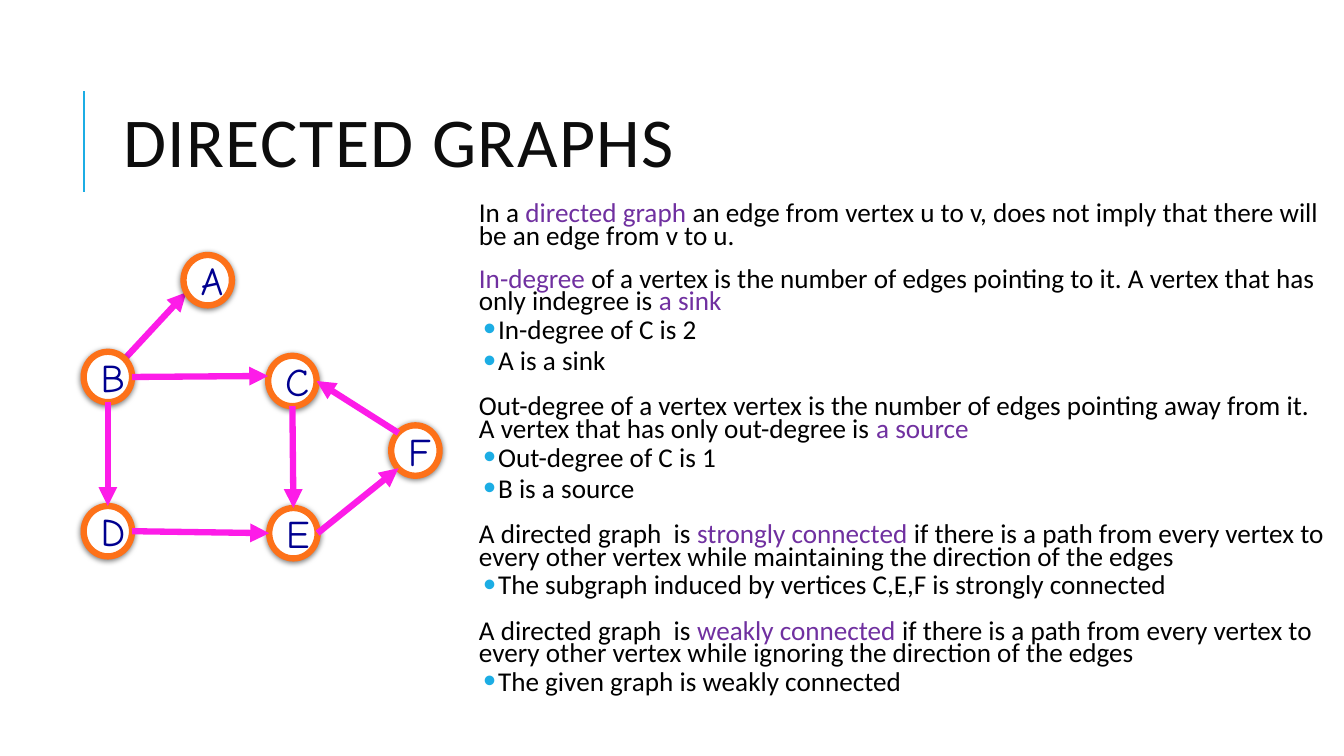
import pptx
import pptx.dml.color
import pptx.enum.shapes
import pptx.enum.text
import pptx.oxml
import pptx.oxml.ns
import pptx.util
from dataclasses import dataclass

Inches = pptx.util.Inches
Pt = pptx.util.Pt

TITLE = "DIRECTED GRAPHS"

# (level, pieces of text); every second piece is a highlighted term.
BODY = [
    (0, ["In a ", "directed graph",
         " an edge from vertex u to v, does not imply that there will be an edge from v to u."]),
    (0, ["", "In-degree",
         " of a vertex is the number of edges pointing to it. A vertex that has only indegree is ",
         "a sink"]),
    (1, ["In-degree of C is 2"]),
    (1, ["A is a sink"]),
    (0, ["Out-degree of a vertex vertex is the number of edges pointing away from it. "
         "A vertex that has only out-degree is ", "a source"]),
    (1, ["Out-degree of C is 1"]),
    (1, ["B is a source"]),
    (0, ["A directed graph  is ", "strongly connected ",
         "if there is a path from every vertex to every other vertex "
         "while maintaining the direction of the edges"]),
    (1, ["The subgraph induced by vertices C,E,F is strongly connected"]),
    (0, ["A directed graph  is ", "weakly connected ",
         "if there is a path from every vertex to every other vertex "
         "while ignoring the direction of the edges"]),
    (1, ["The given graph is weakly connected"]),
]

# Left and top of each vertex, in inches.
VERTICES = {
    "C": (2.66, 3.53), "B": (0.83, 3.49), "D": (0.83, 5.02),
    "E": (2.67, 5.04), "F": (3.88, 4.22), "A": (1.82, 2.53),
}
VERTEX_WIDTH, VERTEX_HEIGHT = 0.48, 0.5

# Ends of an edge as fractions of a vertex's width and height.
CENTER, LEFT, RIGHT = (0.5, 0.5), (0, 0.5), (1, 0.5)
TOP, BOTTOM = (0.5, 0), (0.5, 1)
TOP_LEFT, BOTTOM_LEFT = (0.15, 0.15), (0.15, 0.85)
EDGE_BEHIND = ("B", CENTER, "A", (0.06, 0.74))
EDGES = [
    ("B", RIGHT, "C", (0, 0.4)),
    ("B", BOTTOM, "D", TOP),
    ("D", RIGHT, "E", LEFT),
    ("C", BOTTOM, "E", TOP),
    ("F", TOP_LEFT, "C", RIGHT),
    ("E", RIGHT, "F", BOTTOM_LEFT),
]


@dataclass(frozen=True)
class Theme:
    accent: str = "1CADE4"
    title: str = "0D0D0D"
    text: str = "000000"
    term: str = "7030A0"
    edge: str = "FD1CE8"
    ring: str = "FD7119"
    vertex: str = "FFFFFF"
    label: str = "000090"
    font: str = "Calibri"
    label_font: str = "Comic Neue"
    title_size: float = 50
    body_size: float = 19.4
    label_size: float = 28
    bar_width: float = 1.5
    graph_width: float = 4.5


THEME = Theme()


def rgb(color):
    return pptx.dml.color.RGBColor.from_string(color)


def xml(markup):
    """Parse one drawing element, given without its namespace declaration."""
    name, rest = markup[1:].split(" ", 1)
    return pptx.oxml.parse_xml(f"<{name} {pptx.oxml.ns.nsdecls('a')} {rest}")


def write_run(paragraph, text, size, color, font=THEME.font, spacing=None):
    run = paragraph.add_run()
    run.text = text
    run.font.size = Pt(size)
    run.font.name = font
    run.font.color.rgb = rgb(color)
    if spacing:
        run.font._element.set("spc", str(spacing * 100))


def place(shape, left, top, width, height):
    shape.left, shape.top = Inches(left), Inches(top)
    shape.width, shape.height = Inches(width), Inches(height)


def add_line(slide, start, end, color, width, arrow=False):
    line = slide.shapes.add_connector(
        pptx.enum.shapes.MSO_CONNECTOR.STRAIGHT, *map(Inches, (*start, *end)))
    line.line.color.rgb = rgb(color)
    line.line.width = Pt(width)
    if arrow:
        line.line._get_or_add_ln().append(xml('<a:tailEnd type="triangle"/>'))
    line._element.spPr.append(xml("<a:effectLst />"))


def add_title(slide):
    title = slide.shapes.title
    place(title, 1.12, 0.64, 10.63, 1.64)
    frame = title.text_frame
    frame.auto_size = pptx.enum.text.MSO_AUTO_SIZE.NONE
    frame.vertical_anchor = pptx.enum.text.MSO_ANCHOR.MIDDLE
    paragraph = frame.paragraphs[0]
    paragraph.alignment = pptx.enum.text.PP_ALIGN.LEFT
    paragraph.line_spacing = 0.8
    write_run(paragraph, TITLE, THEME.title_size, THEME.title, spacing=1)


def format_body_paragraph(paragraph, level, first):
    margin, hanging, bullet = [(0.1, 0.1, " "), (0.29, 0.15, "•")][level]
    before, after = [(12, 2), (2, 4)][level]
    properties = paragraph._element.get_or_add_pPr()
    properties.set("marL", str(Inches(margin)))
    properties.set("indent", str(-Inches(hanging)))
    properties.append(xml(f'<a:buClr ><a:srgbClr val="{THEME.accent}"/></a:buClr>'))
    properties.append(xml(f'<a:buFont typeface="{THEME.font}"/>'))
    properties.append(xml(f'<a:buChar char="{bullet}"/>'))
    paragraph.level = level
    paragraph.line_spacing = 0.7
    paragraph.space_before = Pt(0 if first else before)
    paragraph.space_after = Pt(after)


def add_body(slide):
    body = slide.placeholders[1]
    place(body, 4.6, 1.98, 8.6, 5.33)
    frame = body.text_frame
    frame.auto_size = pptx.enum.text.MSO_AUTO_SIZE.NONE
    frame.margin_left = frame.margin_right = Inches(0.05)
    frame.margin_top = frame.margin_bottom = Inches(0.05)
    for index, (level, pieces) in enumerate(BODY):
        paragraph = frame.add_paragraph() if index else frame.paragraphs[0]
        format_body_paragraph(paragraph, level, first=index == 0)
        for position, piece in enumerate(pieces):
            if piece:
                color = THEME.term if position % 2 else THEME.text
                write_run(paragraph, piece, THEME.body_size, color)


def add_vertex(slide, name):
    vertex = slide.shapes.add_shape(pptx.enum.shapes.MSO_SHAPE.OVAL, 0, 0, 0, 0)
    place(vertex, *VERTICES[name], VERTEX_WIDTH, VERTEX_HEIGHT)
    vertex.fill.solid()
    vertex.fill.fore_color.rgb = rgb(THEME.vertex)
    vertex.line.color.rgb = rgb(THEME.ring)
    vertex.line.width = Pt(THEME.graph_width)
    vertex._element.spPr.append(xml(
        f'<a:effectLst ><a:outerShdw blurRad="{Pt(4)}" dist="{Pt(1)}" dir="5400000" '
        'rotWithShape="0"><a:srgbClr val="000000"><a:alpha val="50000"/></a:srgbClr>'
        '</a:outerShdw></a:effectLst>'))
    vertex.text_frame.vertical_anchor = pptx.enum.text.MSO_ANCHOR.MIDDLE
    paragraph = vertex.text_frame.paragraphs[0]
    paragraph.alignment = pptx.enum.text.PP_ALIGN.CENTER
    write_run(paragraph, name, THEME.label_size, THEME.label, font=THEME.label_font)


def point_on(name, fractions):
    left, top = VERTICES[name]
    return left + fractions[0] * VERTEX_WIDTH, top + fractions[1] * VERTEX_HEIGHT


def add_edge(slide, source, source_point, target, target_point):
    add_line(slide, point_on(source, source_point), point_on(target, target_point),
             THEME.edge, THEME.graph_width, arrow=True)


def main():
    presentation = pptx.Presentation()
    presentation.slide_width, presentation.slide_height = Inches(13.33), Inches(7.5)
    slide = presentation.slides.add_slide(presentation.slide_layouts[1])
    add_line(slide, (0.83, 1.9), (0.83, 0.9), THEME.accent, THEME.bar_width)
    add_title(slide)
    add_body(slide)
    add_edge(slide, *EDGE_BEHIND)
    for name in VERTICES:
        add_vertex(slide, name)
    for edge in EDGES:
        add_edge(slide, *edge)
    presentation.save("out.pptx")


if __name__ == "__main__":
    main()
